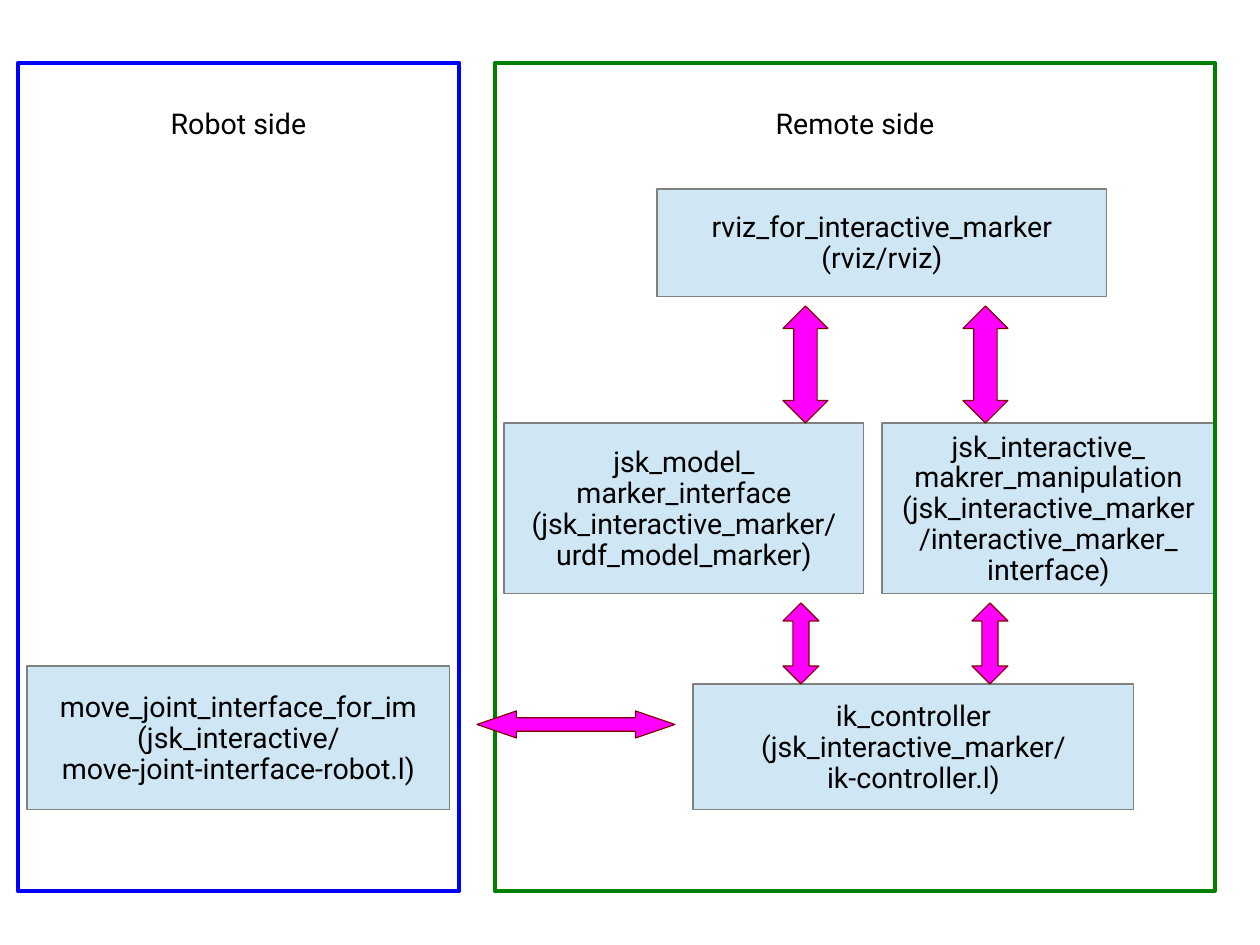
from pptx import Presentation
from pptx.dml.color import RGBColor
from pptx.enum.shapes import MSO_SHAPE
from pptx.enum.text import MSO_ANCHOR, PP_ALIGN
from pptx.util import Mm, Pt

RECT = MSO_SHAPE.RECTANGLE
WIDE = MSO_SHAPE.LEFT_RIGHT_ARROW
TALL = MSO_SHAPE.UP_DOWN_ARROW
TOP, MIDDLE = MSO_ANCHOR.TOP, MSO_ANCHOR.MIDDLE
CENTER = PP_ALIGN.CENTER

COLORS = {
    "node": "CFE7F5", "edge": "808080",
    "arrow": "FF00FF", "rim": "800000",
    "robot": "0000FF", "remote": "008000", "text": "000000",
}
COLS, ROWS = 140, 105
CELL = Mm(2)


class Board:
    """Style and slide; places are (column, row, columns, rows)."""

    font, size, lead = "Roboto", Pt(18), 0.9
    thin, thick = Pt(0.75), Pt(2.83)

    def __init__(self, deck):
        self.slide = deck.slides.add_slide(deck.slide_layouts[6])

    def color(self, name):
        return RGBColor.from_string(COLORS[name])

    def shape(self, kind, place, fill, line, width):
        item = self.slide.shapes.add_shape(kind, *(n * CELL for n in place))
        item.shadow.inherit = False
        if fill:
            item.fill.solid()
            item.fill.fore_color.rgb = self.color(fill)
        else:
            item.fill.background()
        item.line.color.rgb = self.color(line)
        item.line.width = width
        return item

    def label(self, item, text, anchor, inset):
        frame = item.text_frame
        frame.text = text
        frame.word_wrap = False
        frame.vertical_anchor = anchor
        frame.margin_top = inset
        frame.margin_bottom = Mm(1.25)
        for para in frame.paragraphs:
            para.alignment = CENTER
            para.line_spacing = self.lead
            for run in para.runs:
                run.font.name = self.font
                run.font.size = self.size
                run.font.color.rgb = self.color("text")

    def panel(self, place, title, line):
        item = self.shape(RECT, place, None, line, self.thick)
        self.label(item, title, TOP, Mm(10.4))

    def node(self, place, text):
        item = self.shape(RECT, place, "node", "edge", self.thin)
        self.label(item, text, MIDDLE, Mm(1.75))

    def arrow(self, kind, place, head):
        item = self.shape(kind, place, "arrow", "rim", self.thin)
        item.adjustments[0] = 0.5
        item.adjustments[1] = head


def main():
    deck = Presentation()
    deck.slide_width, deck.slide_height = COLS * CELL, ROWS * CELL
    board = Board(deck)

    # Marker nodes and robot node, behind the panel frames
    board.node((98, 47, 37, 19),
               "jsk_interactive_\nmakrer_manipulation\n(jsk_interactive_marker\n"
               "/interactive_marker_\ninterface)")
    board.node((56, 47, 40, 19),
               "jsk_model_\nmarker_interface\n(jsk_interactive_marker/\n"
               "urdf_model_marker)")
    board.node((3, 74, 47, 16),
               "move_joint_interface_for_im\n(jsk_interactive/\n"
               "move-joint-interface-robot.l)")

    # Panels
    board.panel((2, 7, 49, 92), "Robot side", "robot")
    board.panel((55, 7, 80, 92), "Remote side", "remote")

    # Controller and viewer nodes
    board.node((77, 76, 49, 14),
               "ik_controller\n(jsk_interactive_marker/\nik-controller.l)")
    board.node((73, 21, 50, 12), "rviz_for_interactive_marker\n(rviz/rviz)")

    # Arrows: between the sides, then above and below the marker nodes
    board.arrow(WIDE, (53, 79, 22, 3), 1.46)
    for col in (87, 107):
        board.arrow(TALL, (col, 34, 5, 13), 0.52)
    for col in (87, 108):
        board.arrow(TALL, (col, 67, 4, 9), 0.45)

    deck.save("out.pptx")


if __name__ == "__main__":
    main()
